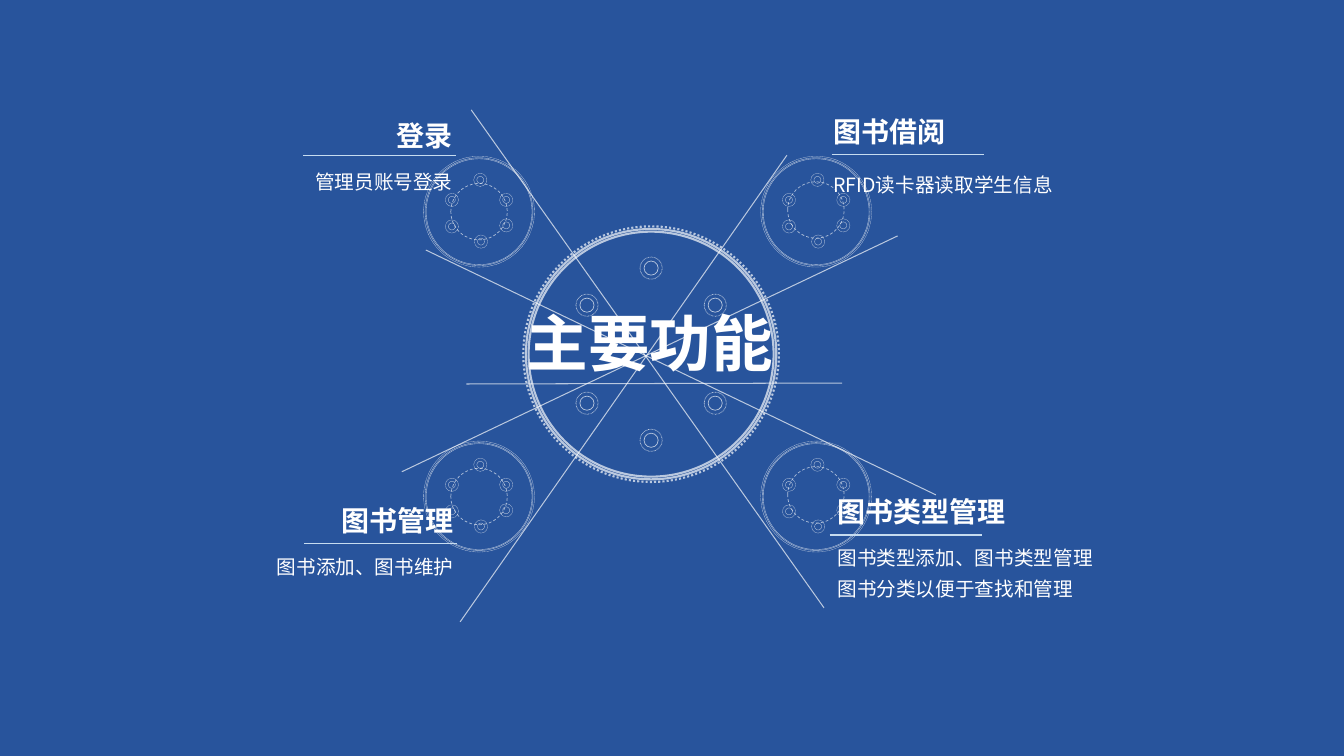
from dataclasses import dataclass
from pptx import Presentation
from pptx.dml.color import RGBColor
from pptx.enum import dml, shapes, text
from pptx.oxml import ns, xmlchemy
from pptx.util import Pt


@dataclass(frozen=True)
class Theme:
    back: RGBColor = RGBColor(0x28, 0x54, 0x9C)
    ink: RGBColor = RGBColor(0xFF, 0xFF, 0xFF)
    rule: RGBColor = RGBColor(0xC6, 0xDC, 0xF0)
    font: str = "Noto Sans CJK SC"
    title: int = 44
    head: int = 20
    body: int = 14
    clear: int = 67
    faint: int = 61


@dataclass(frozen=True)
class Gear:
    rings: tuple  # diameters, the last one dotted
    weight: float
    bolts: tuple  # offsets from the centre
    nut: tuple  # outer and inner diameter
    thin: float


THEME = Theme()
SOLID = dml.MSO_LINE.SOLID
DOTS = dml.MSO_LINE.ROUND_DOT
DASH = dml.MSO_LINE.DASH

HUB = Gear((175, 178.8, 182.6), 1.5,
           ((0, -61.5), (0, 61.5), (-45.8, -35), (-45.8, 35), (45.8, -35), (45.8, 35)),
           (15.8, 10.1), 0.5)
WHEEL = Gear((75.6, 77, 79.2), 0.25,
             ((0.9, -22.7), (-19.4, -8.4), (-19.4, 10.6), (1.4, 21.4), (19.4, -8.4), (19.4, 9.8)),
             (9.4, 5), 0.25)


def ink(line, color, weight, dash=SOLID, alpha=100):
    line.color.rgb = color
    line.width = Pt(weight)
    line.dash_style = dash
    if alpha < 100:
        tint = line.fill._xPr.find(".//" + ns.qn("a:srgbClr"))
        xmlchemy.OxmlElement("a:alpha")
        part = xmlchemy.OxmlElement("a:alpha")
        part.set("val", str(alpha * 1000))
        tint.append(part)


def ring(slide, mid, size, weight, dash=SOLID, alpha=THEME.clear):
    x, y = mid
    disc = slide.shapes.add_shape(shapes.MSO_SHAPE.OVAL, Pt(x - size / 2), Pt(y - size / 2),
                                  Pt(size), Pt(size))
    disc.shadow.inherit = False
    disc.fill.background()
    ink(disc.line, THEME.ink, weight, dash, alpha)


def stroke(slide, start, end, color, weight, alpha=100):
    line = slide.shapes.add_connector(shapes.MSO_CONNECTOR.STRAIGHT,
                                      *(Pt(v) for v in (*start, *end)))
    ink(line.line, color, weight, alpha=alpha)
    line._element.spPr.append(xmlchemy.OxmlElement("a:effectLst"))


def write(slide, box, lines, size, bold=False, align=text.PP_ALIGN.LEFT, space=None, wrap=True):
    frame = slide.shapes.add_textbox(*(Pt(v) for v in box)).text_frame
    frame.word_wrap = wrap
    frame.auto_size = text.MSO_AUTO_SIZE.SHAPE_TO_FIT_TEXT
    frame.text = "\n".join(lines)
    for para in frame.paragraphs:
        para.alignment = align
        para.line_spacing = space
        font = para.font
        font.size, font.bold, font.name = Pt(size), bold, THEME.font
        font.color.rgb = THEME.ink
        asian = xmlchemy.OxmlElement("a:ea")
        asian.set("typeface", THEME.font)
        font._element.append(asian)


# Rings and bolts around the middle of a box
def gear(slide, box, kind):
    left, top, wide, high = box
    x, y = left + wide / 2, top + high / 2
    for size, dash in zip(kind.rings, (SOLID, SOLID, DOTS)):
        ring(slide, (x, y), size, kind.weight, dash)
    for dx, dy in kind.bolts:
        for size, dash in zip(kind.nut, (DOTS, SOLID)):
            ring(slide, (x + dx, y + dy), size, kind.thin, dash)


# Small gear with its dashed inner circle
def wheel(slide, box, shift):
    gear(slide, box, WHEEL)
    left, top, wide, high = box
    mid = (left + wide / 2 + shift[0], top + high / 2 + shift[1])
    ring(slide, mid, 40.3, 0.5, DASH, THEME.faint)


# Heading, rule and body text in one box
def label(slide, box, head, lines, wide, rule, drop=31.7, right=False):
    left, top, width, high = box
    align = text.PP_ALIGN.RIGHT if right else text.PP_ALIGN.LEFT
    start = left + width - wide if right else left
    write(slide, (start, top, wide, 31.7), [head], THEME.head, True, align)
    write(slide, (left, top + drop, width, high - drop), lines, THEME.body,
          align=align, space=1.3)
    x, y = start + rule[0], top + rule[1]
    stroke(slide, (x, y), (x + 109, y), THEME.rule, 1)


# Hub with its title and the crossing lines
def centre(slide, box):
    left, top, wide, high = box
    x, y = left + wide / 2, top + high / 2
    gear(slide, box, HUB)
    spokes = (((-132, 21.3), (136.5, 20.6)), ((-160.9, -74.4), (203.4, 100.5)),
              ((-128.5, -174.5), (123.5, 181.2)), ((-136.4, 191.2), (97, -142.1)),
              ((-178.1, 84), (176.1, -84.5)))
    for (ax, ay), (bx, by) in spokes:
        stroke(slide, (x + ax, y + ay), (x + bx, y + by), THEME.ink, 0.75, THEME.clear)
    write(slide, (x - 96, y - 38.5, 192, 60.5), ["主要功能"], THEME.title, True, wrap=False)


def build():
    deck = Presentation()
    deck.slide_width, deck.slide_height = Pt(960), Pt(540)
    slide = deck.slides.add_slide(deck.slide_layouts[6])
    slide.background.fill.solid()
    slide.background.fill.fore_color.rgb = THEME.back

    centre(slide, (373.8, 161.7, 182.6, 182.6))
    for top in (111.6, 315.1):
        for left, shift in ((302.6, (0, 0)), (543.4, (-0.2, -1.2))):
            wheel(slide, (left, top, 79.2, 79.2), shift)

    label(slide, (110.2, 81.4, 220.3, 59), "登录", ["管理员账号登录"],
          111.6, (-2.2, 29.5), right=True)
    label(slide, (165.6, 356.4, 165.6, 82.8), "图书管理", ["图书添加、图书维护"],
          111.6, (-2.2, 31.7), right=True)
    label(slide, (588.2, 78.5, 175.7, 86.4), "图书借阅", ["RFID读卡器读取学生信息"],
          111.6, (5.8, 31.7), drop=36.7)
    label(slide, (591.1, 349.9, 215.3, 82.8), "图书类型管理",
          ["图书类型添加、图书类型管理", "图书分类以便于查找和管理"], 144.7, (1.5, 32.4))
    deck.save("out.pptx")


if __name__ == "__main__":
    build()
